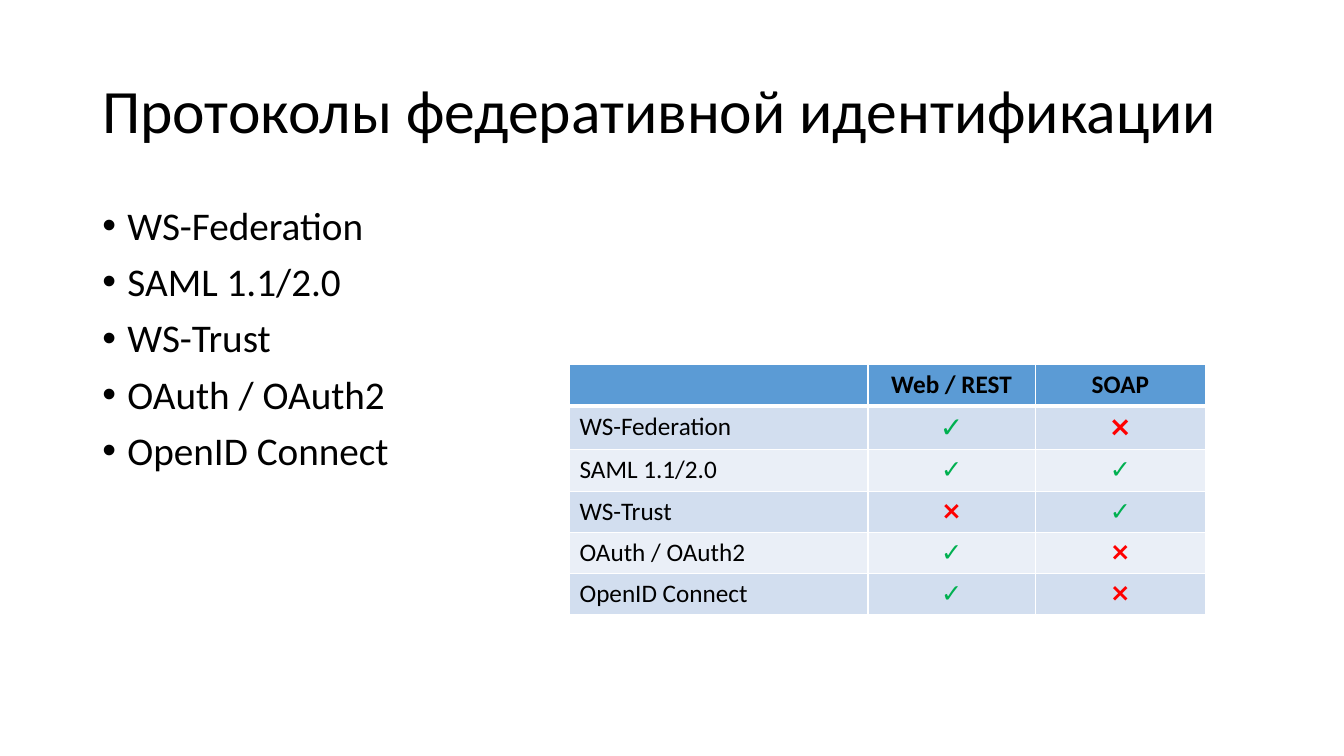
"""Slide on federated identity protocols with a bullet list and a support table."""
from lxml import etree
from pptx import Presentation
from pptx.dml.color import RGBColor
from pptx.enum.text import MSO_ANCHOR, PP_ALIGN
from pptx.oxml.ns import qn
from pptx.util import Pt

MIDDLE, TOP = MSO_ANCHOR.MIDDLE, MSO_ANCHOR.TOP
LEFT, CENTER = PP_ALIGN.LEFT, PP_ALIGN.CENTER
BLACK = RGBColor(0x00, 0x00, 0x00)
WHITE = RGBColor(0xFF, 0xFF, 0xFF)
GREEN = RGBColor(0x00, 0xB0, 0x50)
RED = RGBColor(0xFF, 0x00, 0x00)
HEADER = RGBColor(0x5B, 0x9B, 0xD5)
BANDS = [RGBColor(0xEA, 0xEF, 0xF7), RGBColor(0xD2, 0xDE, 0xEF)]
MARKS = {"✓": GREEN, "❌": RED}

PROTOCOLS = [
    ("WS-Federation", "✓", "❌"),
    ("SAML 1.1/2.0", "✓", "✓"),
    ("WS-Trust", "❌", "✓"),
    ("OAuth / OAuth2", "✓", "❌"),
    ("OpenID Connect", "✓", "❌"),
]


def add_run(p, text, size, color=BLACK, bold=False):
    r = p.add_run()
    r.text = text
    for name, value in {"name": "Calibri", "size": Pt(size), "bold": bold}.items():
        setattr(r.font, name, value)
    r.font.color.rgb = color


def add_box(s, left, top, width, height, anchor):
    tf = s.shapes.add_textbox(Pt(left), Pt(top), Pt(width), Pt(height)).text_frame
    for name, value in {"word_wrap": True, "vertical_anchor": anchor}.items():
        setattr(tf, name, value)
    return tf


prs = Presentation()
prs.slide_width, prs.slide_height = Pt(960), Pt(540)
s = prs.slides.add_slide(prs.slide_layouts[6])

tf = add_box(s, 66, 28.75, 828, 104.4, MIDDLE)
p = tf.paragraphs[0]
p.line_spacing = 0.9
add_run(p, "Протоколы федеративной идентификации", 44)

tf = add_box(s, 66, 143.75, 313, 342.6, TOP)
for i, (protocol, *_) in enumerate(PROTOCOLS):
    p = tf.add_paragraph() if i else tf.paragraphs[0]
    pPr = p._p.get_or_add_pPr()
    pPr.set("marL", str(Pt(18)))
    pPr.set("indent", str(-Pt(18)))
    etree.SubElement(pPr, qn("a:buFont")).set("typeface", "Arial")
    etree.SubElement(pPr, qn("a:buChar")).set("char", "•")
    p.line_spacing = 0.9
    p.space_before = Pt(10 if i else 0)
    add_run(p, protocol, 28)

rows = [("", "Web / REST", "SOAP")] + PROTOCOLS
widths = [213.2, 119.5, 121.6]
row_height = 29.5
table = s.shapes.add_table(len(rows), len(widths), Pt(406.8), Pt(260.6),
                           Pt(sum(widths)), Pt(row_height * len(rows))).table
for column, width in zip(table.columns, widths):
    column.width = Pt(width)

for i, row in enumerate(rows):
    table.rows[i].height = Pt(row_height)
    for j, text in enumerate(row):
        cell = table.cell(i, j)
        tcPr = cell._tc.get_or_add_tcPr()
        edges = {"L": 1, "R": 1, "T": 3 if i == 1 else 1, "B": 3 if i == 0 else 1}
        for edge, weight in edges.items():
            ln = etree.SubElement(tcPr, qn(f"a:ln{edge}"), w=str(Pt(weight)))
            fill = etree.SubElement(ln, qn("a:solidFill"))
            etree.SubElement(fill, qn("a:srgbClr")).set("val", str(WHITE))
        cell.fill.solid()
        cell.fill.fore_color.rgb = BANDS[i % 2] if i else HEADER
        p = cell.text_frame.paragraphs[0]
        p.alignment = CENTER if j else LEFT
        if text:
            size = 20 if i == 1 and j else 18
            add_run(p, text, size, MARKS.get(text, BLACK), i == 0 or j > 0)

prs.save("out.pptx")
